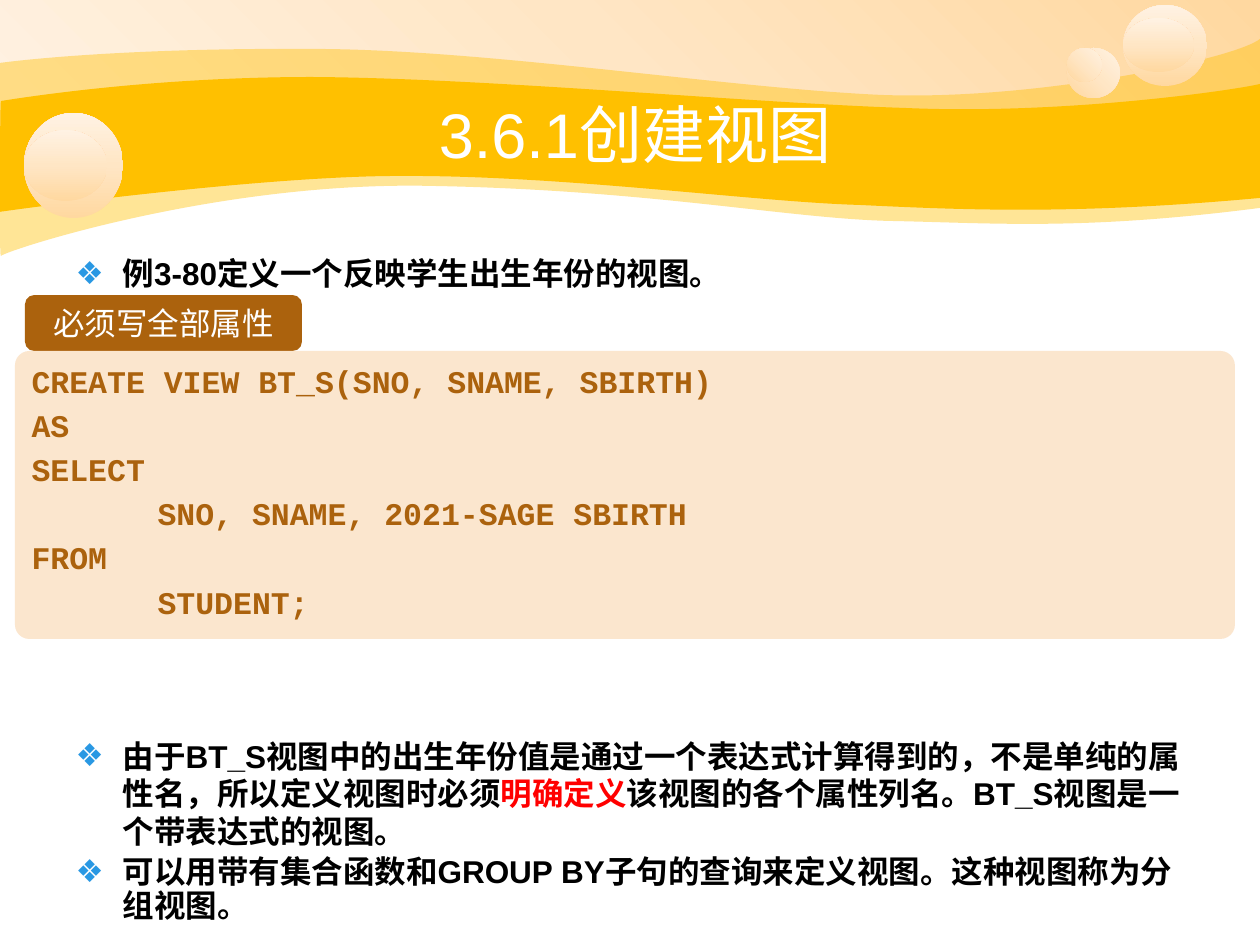
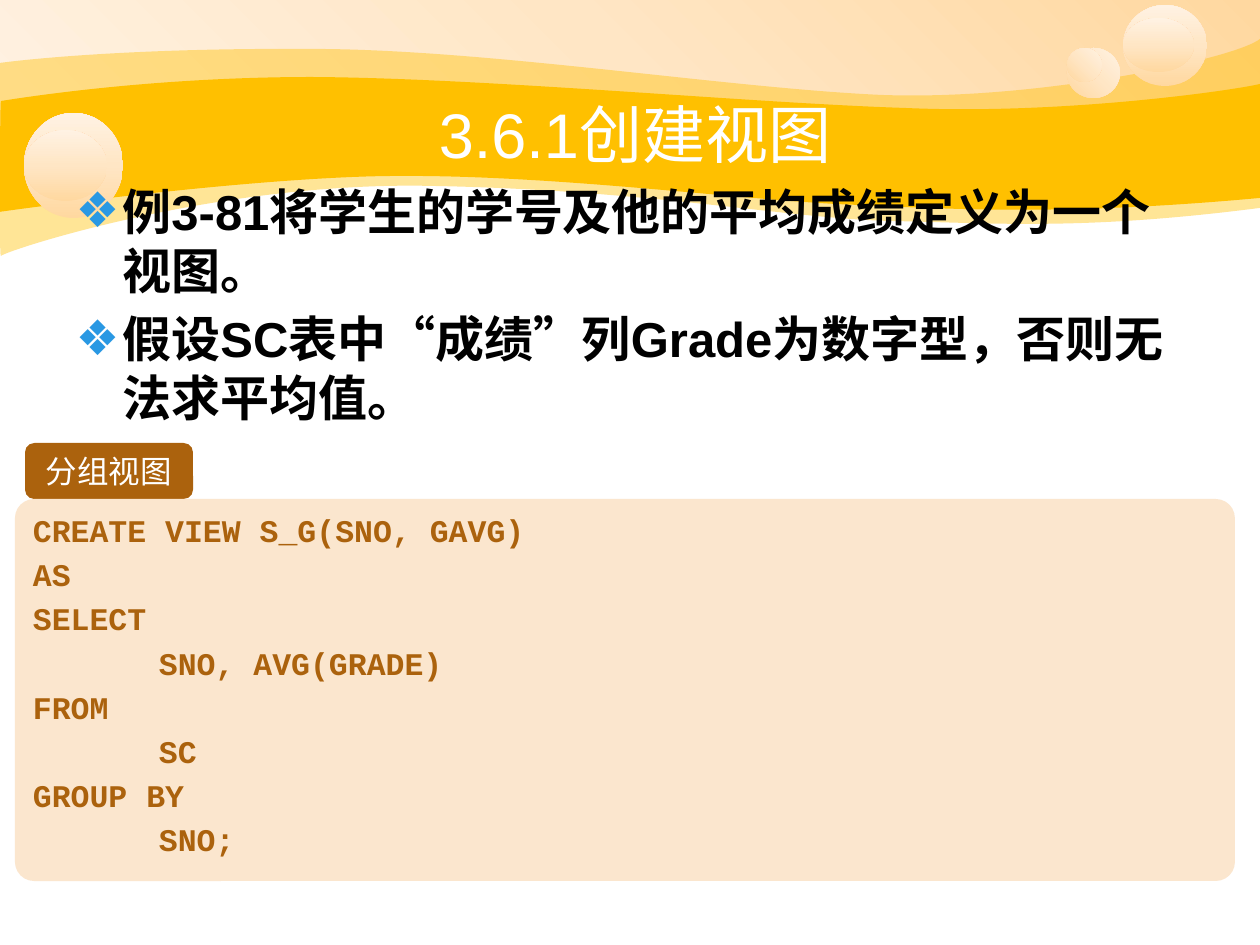
from lxml.etree import SubElement
from pptx import Presentation
from pptx.dml.color import RGBColor
from pptx.enum.shapes import MSO_SHAPE
from pptx.enum.text import MSO_ANCHOR, MSO_AUTO_SIZE, PP_ALIGN
from pptx.oxml.ns import qn
from pptx.util import Emu, Pt

# Colours and fonts
GOLD = RGBColor(0xFF, 0xC0, 0x00)
PEACH_STOPS = [
    (0, RGBColor(0xFF, 0xD8, 0xA0)),
    (50, RGBColor(0xFF, 0xE6, 0xC5)),
    (100, RGBColor(0xFF, 0xF2, 0xE3)),
]
BROWN = RGBColor(0xAB, 0x62, 0x0D)
CREAM = RGBColor(0xFB, 0xE6, 0xCE)
BULLET_BLUE = RGBColor(0x29, 0x98, 0xE3)
WHITE = RGBColor(0xFF, 0xFF, 0xFF)
BLACK = RGBColor(0, 0, 0)
RED = RGBColor(0xFF, 0, 0)
BODY_FONT, LABEL_FONT, CODE_FONT = "Arial", "DejaVu Sans Mono", "Courier New"

# Content: each bullet has its runs, line spacing and space before in points
TITLE = "3.6.1创建视图"
LESSONS = [
    {
        "body_top": 252,
        "body_size": 18,
        "bullets": [
            ([("例3-80定义一个反映学生出生年份的视图。", BLACK)], 0.9, 0),
            ([("由于BT_S视图中的出生年份值是通过一个表达式计算得到的，"
               "不是单纯的属性名，所以定义视图时必须", BLACK),
              ("明确定义", RED),
              ("该视图的各个属性列名。BT_S视图是一个带表达式的视图。", BLACK)],
             1.0, 253.9),
            ([("可以用带有集合函数和GROUP BY子句的查询来定义视图。"
               "这种视图称为分组视图。", BLACK)], 0.9, 3.6),
        ],
        "label": "必须写全部属性",
        "label_width": 277,
        "code_top": 351,
        "code_height": 288,
        "code": [
            "CREATE VIEW BT_S(SNO, SNAME, SBIRTH)",
            "AS",
            "SELECT",
            "\tSNO, SNAME, 2021-SAGE SBIRTH",
            "FROM",
            "\tSTUDENT;",
        ],
    },
    {
        "body_top": 175,
        "body_size": 28,
        "bullets": [
            ([("例3-81将学生的学号及他的平均成绩定义为一个视图。", BLACK)], 1.0, 0),
            ([("假设SC表中“成绩”列Grade为数字型，否则无法求平均值。", BLACK)],
             1.0, 5.6),
        ],
        "label": "分组视图",
        "label_width": 168,
        "code_top": 499,
        "code_height": 382,
        "code": [
            "CREATE VIEW S_G(SNO, GAVG)",
            "AS",
            "SELECT",
            "\tSNO, AVG(GRADE)",
            "FROM",
            "\tSC",
            "GROUP BY",
            "\tSNO;",
        ],
    },
]

# Shared backdrop in px: a start point, then curves (six numbers) or lines (two)
SKY = (0, 0, 1260, 145)
PALE_BAND = [
    (0, 63),
    (30, 59, 135, 48, 311, 49),
    (486, 49, 725, 88, 881, 95),
    (1036, 101, 1235, 59, 1260, 39),
    (1260, 208),
    (1081, 231, 993, 223, 888, 221),
    (784, 218, 649, 190, 432, 186),
    (217, 181, 5, 251, 1, 256),
    (-1, 262, 0, 95, 0, 63),
]
GOLD_BAND = [
    (1, 101),
    (3, 101, 139, 77, 312, 77),
    (486, 78, 750, 103, 905, 108),
    (1060, 115, 1230, 91, 1260, 84),
    (1260, 198),
    (1075, 215, 964, 210, 859, 205),
    (755, 202, 563, 175, 399, 176),
    (256, 176, -3, 212, -1, 212),
    (0, 212, 0, 101, 1, 101),
]
BUBBLES = [  # box, clockwise gradient angle
    ((1067, 48, 53, 50), 315),
    ((1067, 48, 35, 34), 315),
    ((1123, 5, 84, 81), 270),
    ((1123, 18, 71, 54), 270),
    ((24, 113, 99, 105), 270),
    ((24, 130, 83, 71), 270),
]


def px(length):
    return Emu(round(length * 914400 / 126))


def write(paragraph, text, *, size, font, color, bold=False):
    run = paragraph.add_run()
    run.text = text
    run.font.size = Pt(size)
    run.font.name = font
    run.font.bold = bold
    run.font.color.rgb = color


def paragraphs(frame, items):
    """Yield each item with its own paragraph of the frame."""
    for index, item in enumerate(items):
        yield (frame.add_paragraph() if index else frame.paragraphs[0]), item


def place(shape, left, top, width, height):
    shape.left, shape.top = px(left), px(top)
    shape.width, shape.height = px(width), px(height)


def plain(shape, color=None):
    shape.shadow.inherit = False
    shape.line.fill.background()
    if color is not None:
        shape.fill.solid()
        shape.fill.fore_color.rgb = color
    return shape


def add_box(slide, preset, box, color=None):
    return plain(slide.shapes.add_shape(preset, *map(px, box)), color)


def fill_peach(shape, clockwise):
    shape.fill.gradient()
    shape.fill.gradient_angle = 360 - clockwise
    stops = shape.element.spPr.find(qn("a:gradFill")).find(qn("a:gsLst"))
    for old_stop in list(stops):
        stops.remove(old_stop)
    for percent, color in PEACH_STOPS:
        stop = SubElement(stops, qn("a:gs"), pos=str(percent * 1000))
        SubElement(stop, qn("a:srgbClr"), val=str(color))


def add_band(slide, band):
    """Join the anchor points, then bend each edge that has control points."""
    anchors = [(px(edge[-2]), px(edge[-1])) for edge in band]
    builder = slide.shapes.build_freeform(*anchors[0])
    builder.add_line_segments(anchors[1:], close=True)
    shape = plain(builder.convert_to_shape(), GOLD)
    segments = list(shape.element.spPr.iter(qn("a:lnTo")))
    for segment, edge in zip(segments, band[1:]):
        if len(edge) == 6:
            curve = SubElement(segment.getparent(), qn("a:cubicBezTo"))
            for x, y in zip(edge[::2], edge[1::2]):
                SubElement(curve, qn("a:pt"),
                           x=str(px(x) - shape.left), y=str(px(y) - shape.top))
            segment.getparent().replace(segment, curve)
    return shape


def add_backdrop(slide, layout):
    """Draw the backdrop and hand it to the layout that all slides share."""
    sky = add_box(slide, MSO_SHAPE.RECTANGLE, SKY)
    fill_peach(sky, 135)
    pale_band = add_band(slide, PALE_BAND)
    pale_color = pale_band.element.spPr.find(qn("a:solidFill"))[0]
    SubElement(pale_color, qn("a:alpha"), val="41000")
    backdrop = [sky, pale_band, add_band(slide, GOLD_BAND)]
    for box, angle in BUBBLES:
        bubble = add_box(slide, MSO_SHAPE.OVAL, box)
        fill_peach(bubble, angle)
        backdrop.append(bubble)
    for offset, part in enumerate(backdrop):
        part.element.nvSpPr.cNvPr.set("id", str(100 + offset))
        layout.shapes.element.insert(2 + offset, part.element)


def add_title(slide):
    title = slide.shapes.title
    place(title, 126, 94, 1018, 78)
    frame = title.text_frame
    frame.auto_size = MSO_AUTO_SIZE.NONE
    frame.vertical_anchor = MSO_ANCHOR.MIDDLE
    heading = frame.paragraphs[0]
    heading.alignment = PP_ALIGN.CENTER
    write(heading, TITLE, size=36, font=BODY_FONT, color=WHITE)


def set_bullet(paragraph):
    properties = paragraph._p.get_or_add_pPr()
    properties.set("marL", str(px(47)))
    properties.set("indent", str(px(-47)))
    bullet_color = SubElement(properties, qn("a:buClr"))
    SubElement(bullet_color, qn("a:srgbClr"), val=str(BULLET_BLUE))
    SubElement(properties, qn("a:buChar"), char="❖")


def set_code_tab(paragraph):
    tabs = SubElement(paragraph._p.get_or_add_pPr(), qn("a:tabLst"))
    SubElement(tabs, qn("a:tab"), pos=str(px(126)), algn="l")


def add_body(slide, lesson):
    body = slide.placeholders[1]
    place(body, 63, lesson["body_top"], 1134, 620)
    frame = body.text_frame
    frame.auto_size = MSO_AUTO_SIZE.NONE
    frame.vertical_anchor = MSO_ANCHOR.TOP
    for paragraph, (runs, spacing, before) in paragraphs(frame, lesson["bullets"]):
        set_bullet(paragraph)
        paragraph.line_spacing = spacing
        paragraph.space_before = Pt(before)
        for text, color in runs:
            write(paragraph, text, size=lesson["body_size"], font=BODY_FONT,
                  color=color, bold=True)


def add_code(slide, lesson):
    # Label sitting on the code panel
    label_box = (25, lesson["code_top"] - 56, lesson["label_width"], 56)
    label = add_box(slide, MSO_SHAPE.ROUNDED_RECTANGLE, label_box, BROWN)
    label.text_frame.vertical_anchor = MSO_ANCHOR.MIDDLE
    caption = label.text_frame.paragraphs[0]
    caption.alignment = PP_ALIGN.CENTER
    write(caption, lesson["label"], size=18, font=LABEL_FONT, color=WHITE)

    # Code panel
    panel_box = (15, lesson["code_top"], 1220, lesson["code_height"])
    panel = add_box(slide, MSO_SHAPE.ROUNDED_RECTANGLE, panel_box, CREAM)
    panel.adjustments[0] = 0.05
    frame = panel.text_frame
    frame.word_wrap = True
    frame.vertical_anchor = MSO_ANCHOR.TOP
    frame.margin_top = 0
    for paragraph, code_line in paragraphs(frame, lesson["code"]):
        set_code_tab(paragraph)
        paragraph.alignment = PP_ALIGN.LEFT
        paragraph.line_spacing = Pt(25.25)
        write(paragraph, code_line, size=18, font=CODE_FONT, color=BROWN, bold=True)


def main():
    deck = Presentation()
    deck.slide_width, deck.slide_height = px(1260), px(945)
    layout = deck.slide_layouts[1]
    for number, lesson in enumerate(LESSONS):
        slide = deck.slides.add_slide(layout)
        if number == 0:
            add_backdrop(slide, layout)
        add_title(slide)
        add_body(slide, lesson)
        add_code(slide, lesson)
    deck.save("out.pptx")


if __name__ == "__main__":
    main()
